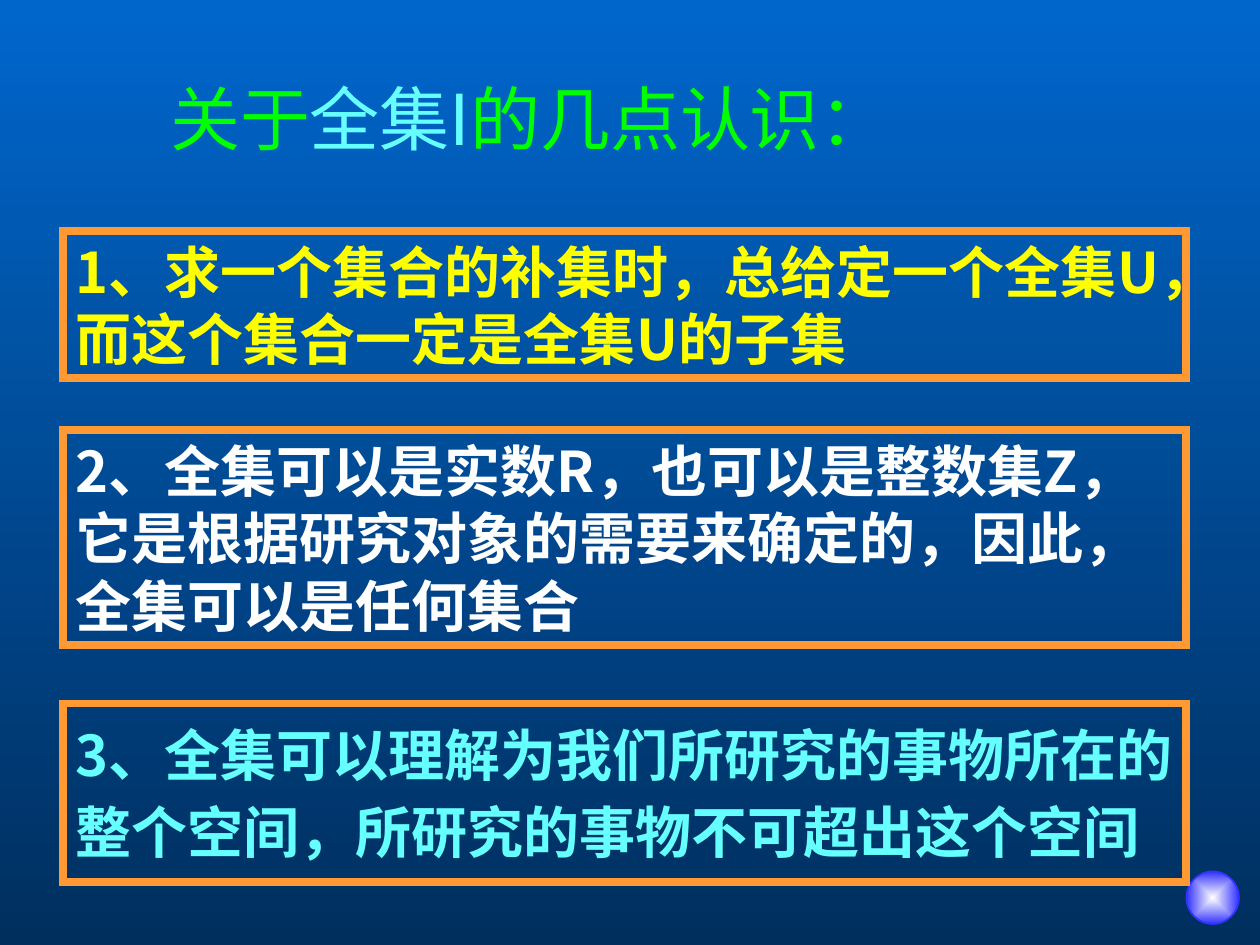
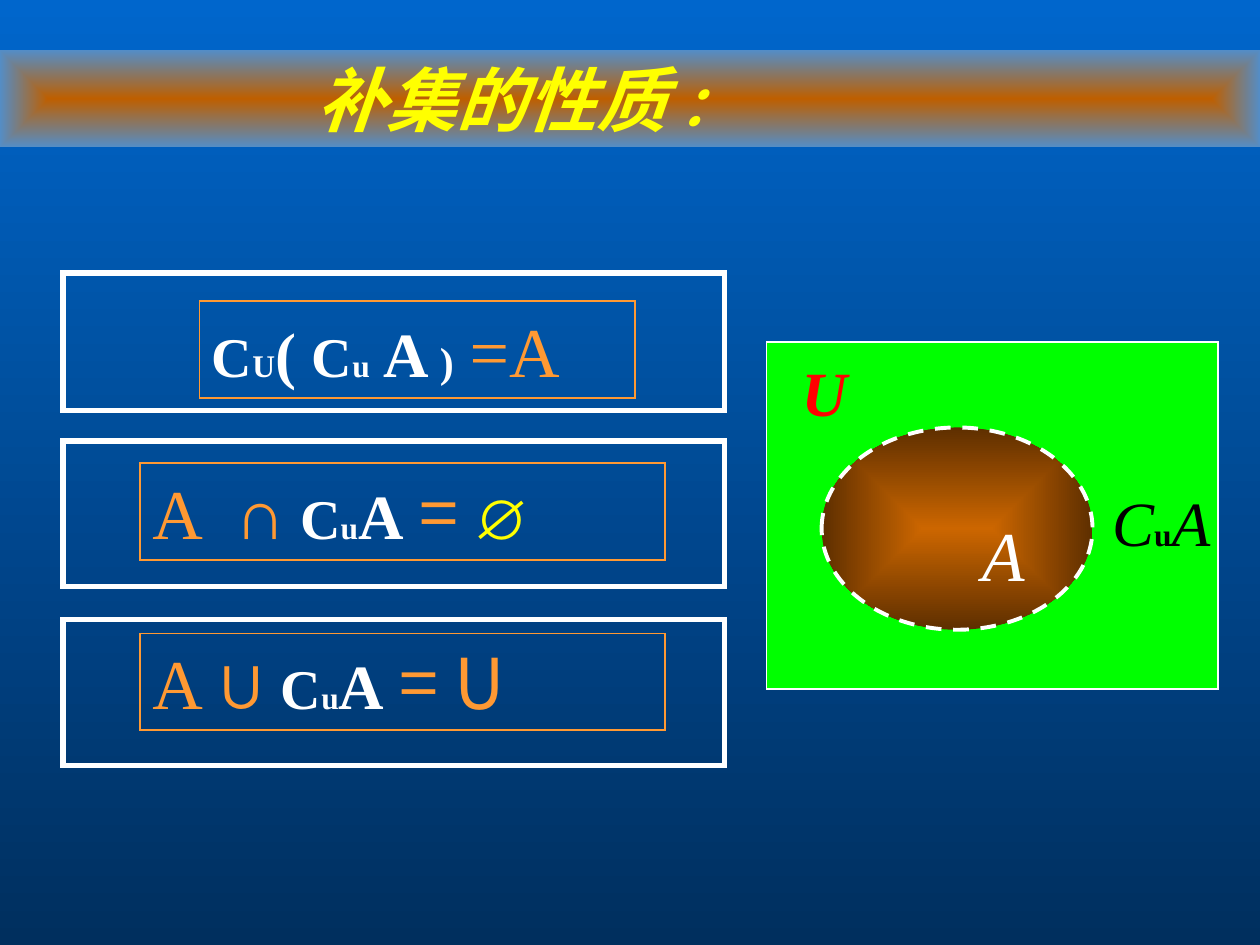
"""Two lesson pages on the universal set and the properties of complements."""
from collections import namedtuple

from lxml import etree
from pptx import Presentation
from pptx.dml.color import RGBColor
from pptx.enum.dml import MSO_LINE
from pptx.enum.shapes import MSO_SHAPE as Shape
from pptx.enum.text import MSO_ANCHOR as Anchor, MSO_AUTO_SIZE as AutoSize, PP_ALIGN as Align
from pptx.oxml.ns import qn
from pptx.util import Pt

Style = namedtuple("Style", "font color bold italic", defaults=(False, False))


class Theme:
    """Colours, fonts and type sizes shared by both pages."""
    SKY, NAVY = "0066CC", "002F5E"
    WHITE, BLACK, RED = "FFFFFF", "000000", "FF0000"
    GREEN, YELLOW, CYAN, ORANGE = "00FF00", "FFFF00", "66FFFF", "FF9933"
    BALL = "3333FF"
    BAND = ("BE5F00", "548DC6")
    OVAL = ("CC6600", "5E2F00")
    SANS, SERIF, SYMBOL = "Noto Sans CJK SC", "Times New Roman", "Arial"
    EAST_ASIAN = {SANS: SANS, SERIF: SANS, SYMBOL: SYMBOL}
    TITLE, LETTER, BODY, CLOSER, SMALL = 40, 36, 32, 24, 18
    LINE_RATIO = 1.2
    INSET = 7.2


HEADING = Style(Theme.SANS, Theme.GREEN)
HEADING_KEY = Style(Theme.SANS, Theme.CYAN)
BAND_TITLE = Style(Theme.SERIF, Theme.YELLOW, True, True)
TERM = Style(Theme.SERIF, Theme.ORANGE)
SET = Style(Theme.SERIF, Theme.WHITE, True)
SIGN = Style(Theme.SYMBOL, Theme.ORANGE)
EQUALS = Style(Theme.SANS, Theme.ORANGE)
EMPTY = Style(Theme.SYMBOL, Theme.YELLOW)
INSIDE = Style(Theme.SERIF, Theme.WHITE, italic=True)
OUTSIDE = Style(Theme.SERIF, Theme.BLACK, italic=True)
INDEX = Style(Theme.SERIF, Theme.BLACK, True)
UNIVERSE = Style(Theme.SERIF, Theme.RED, True, True)

NOTES_TITLE = [("关于", HEADING, Theme.TITLE), ("全集I", HEADING_KEY, Theme.TITLE),
               ("的几点认识：", HEADING, Theme.TITLE)]
NOTES = [
    (132, 84, Theme.YELLOW, 672,
     ["1、求一个集合的补集时，总给定一个全集U，而这个集合一定是全集U的子集"]),
    (246, 122.4, Theme.WHITE, 642,
     ["2、全集可以是实数R，也可以是整数集Z，它是根据研究对象的需要来确定的，因此，全集可以是任何集合"]),
    (402, 102, Theme.CYAN, 672,
     ["3、全集可以理解为我们所研究的事物所在的", "整个空间，所研究的事物不可超出这个空间"]),
]

RULES_TITLE = [("补集的性质", BAND_TITLE, Theme.TITLE), (" ：", BAND_TITLE, Theme.BODY)]
COMPLEMENT = [(" C", SET, Theme.BODY), ("u", SET, Theme.SMALL), ("A", SET, Theme.LETTER)]
RULES = [
    ((156, 78.5), (114, 172, 249), [
        ("C", SET, Theme.BODY), ("U", SET, Theme.SMALL), ("( ", SET, Theme.LETTER),
        ("C", SET, Theme.BODY), ("u", SET, Theme.SMALL), (" ", SET, Theme.BODY),
        ("A", SET, Theme.LETTER), (" )", SET, Theme.CLOSER), (" ", SET, Theme.LETTER),
        ("=A", TERM, Theme.TITLE)]),
    ((252, 83), (80, 264.5, 300), [
        ("A ", TERM, Theme.TITLE), (" ∩", SIGN, Theme.TITLE), *COMPLEMENT,
        (" = ", EQUALS, Theme.TITLE), ("∅", EMPTY, Theme.BODY)]),
    ((354, 83.5), (80, 362, 300), [
        ("A ", TERM, Theme.TITLE), ("∪", SIGN, Theme.TITLE), *COMPLEMENT,
        (" = U", EQUALS, Theme.TITLE)]),
]
LABELS = [
    ((451, 198.5, 60, 50.5), [("U", UNIVERSE, Theme.LETTER)]),
    ((554, 288.5, 70, 55.5), [("A", INSIDE, Theme.TITLE)]),
    ((628.5, 273, 72, 50.5), [("C", OUTSIDE, Theme.LETTER), ("u", INDEX, Theme.SMALL),
                              ("A", OUTSIDE, Theme.LETTER)]),
]


def rgb(color):
    """Turn a hex string into a colour."""
    return RGBColor.from_string(color)


def place(shape, area):
    """Move a shape to an area given in points."""
    shape.left, shape.top, shape.width, shape.height = map(Pt, area)


def fill_gradient(fill, first, last):
    """Set a two-colour gradient."""
    fill.gradient()
    for stop, color in zip(fill.gradient_stops, (first, last)):
        stop.color.rgb = rgb(color)


def fill_from_center(shape, center, edge):
    """Set a rectangular gradient that spreads from the middle."""
    fill_gradient(shape.fill, center, edge)
    gradient = shape._element.spPr.find(qn("a:gradFill"))
    gradient.remove(gradient.find(qn("a:lin")))
    spread = etree.SubElement(gradient, qn("a:path"), path="rect")
    etree.SubElement(spread, qn("a:fillToRect"), l="50000", t="50000", r="50000", b="50000")


def add_outline(page, kind, area, color, weight):
    """Add an unfilled outlined shape with sharp corners."""
    shape = page.shapes.add_shape(kind, *map(Pt, area))
    shape.shadow.inherit = False
    shape.fill.background()
    shape.line.color.rgb = rgb(color)
    shape.line.width = Pt(weight)
    etree.SubElement(shape._element.spPr.find(qn("a:ln")), qn("a:miter"), lim="800000")
    return shape


def write(shape, lines, left=Theme.INSET, anchor=Anchor.TOP, wrap=True):
    """Fill a shape with lines of (text, style, size) spans."""
    frame = shape.text_frame
    frame.auto_size, frame.word_wrap, frame.vertical_anchor = AutoSize.NONE, wrap, anchor
    frame.margin_left, frame.margin_right = Pt(left), Pt(Theme.INSET)
    frame.margin_top = frame.margin_bottom = Pt(Theme.INSET / 2)
    for index, spans in enumerate(lines):
        para = frame.add_paragraph() if index else frame.paragraphs[0]
        para.alignment = Align.LEFT
        para.space_before = Pt(6 if index else 0)
        para.line_spacing = Pt(max(size for _, _, size in spans) * Theme.LINE_RATIO)
        for text, style, size in spans:
            span = para.add_run()
            span.text = text
            font = span.font
            font.name, font.size = style.font, Pt(size)
            font.bold, font.italic = style.bold, style.italic
            font.color.rgb = rgb(style.color)
            etree.SubElement(span._r.get_or_add_rPr(), qn("a:ea"),
                             typeface=Theme.EAST_ASIAN[style.font])


def add_page(deck, title, area, left=Theme.INSET):
    """Add a page with its title in place."""
    page = deck.slides.add_slide(deck.slide_layouts.get_by_name("Title Only"))
    place(page.shapes.title, area)
    write(page.shapes.title, [title], left=left, anchor=Anchor.MIDDLE)
    return page


def build_notes(deck):
    """Build the page of framed remarks."""
    page = add_page(deck, NOTES_TITLE, (90, 39.6, 534, 55.4))
    ball = add_outline(page, Shape.OVAL, (678, 498, 30, 30), Theme.BALL, 1)
    fill_from_center(ball, Theme.WHITE, Theme.BALL)
    for top, height, color, text_width, lines in NOTES:
        box = page.shapes.add_textbox(*map(Pt, (36, top, text_width, height)))
        style = Style(Theme.SANS, color, True)
        write(box, [[(line, style, Theme.BODY)] for line in lines], anchor=Anchor.MIDDLE)
        add_outline(page, Shape.RECTANGLE, (36, top, 642, height), Theme.ORANGE, 4.5)


def build_rules(deck):
    """Build the page of formulas with its set diagram."""
    page = add_page(deck, RULES_TITLE, (0, 28.8, 720, 55.4), left=181)
    fill_from_center(page.shapes.title, *Theme.BAND)
    for (top, height), (left, inner_top, width), formula in RULES:
        add_outline(page, Shape.RECTANGLE, (36, top, 378, height), Theme.WHITE, 3)
        box = add_outline(page, Shape.RECTANGLE, (left, inner_top, width, 55.4), Theme.ORANGE, 1)
        write(box, [formula])
    universe = add_outline(page, Shape.RECTANGLE, (438, 195.6, 258, 198), Theme.WHITE, 1)
    universe.fill.solid()
    universe.fill.fore_color.rgb = rgb(Theme.GREEN)
    oval = add_outline(page, Shape.OVAL, (469.5, 244.3, 154.8, 115.6), Theme.WHITE, 2.25)
    oval.line.dash_style = MSO_LINE.DASH
    fill_from_center(oval, *Theme.OVAL)
    for area, spans in LABELS:
        write(page.shapes.add_textbox(*map(Pt, area)), [spans], wrap=False)


def main():
    """Build and save the deck."""
    deck = Presentation()
    deck.slide_width, deck.slide_height = Pt(720), Pt(540)
    backdrop = deck.slide_master.background.fill
    fill_gradient(backdrop, Theme.SKY, Theme.NAVY)
    backdrop.gradient_angle = 270
    build_notes(deck)
    build_rules(deck)
    deck.save("out.pptx")


if __name__ == "__main__":
    main()
